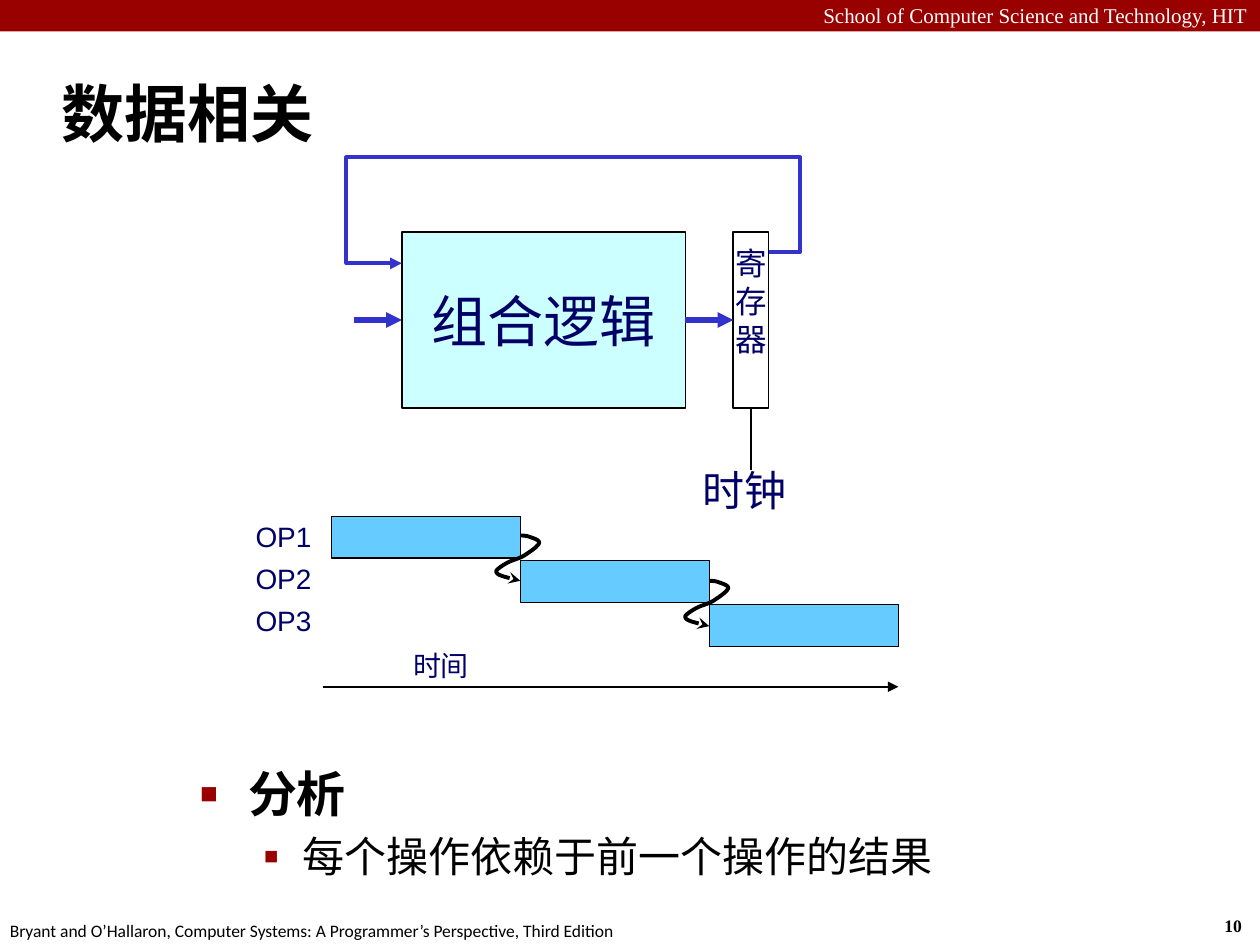
from lxml.etree import SubElement
from pptx import Presentation
from pptx.dml.color import RGBColor
from pptx.enum.shapes import MSO_CONNECTOR, MSO_SHAPE
from pptx.enum.text import MSO_ANCHOR, PP_ALIGN
from pptx.oxml.ns import qn
from pptx.util import Inches, Pt

RED, BLACK, WHITE = "990000", "000000", "FFFFFF"
NAVY, ARROW_BLUE, PALE_CYAN, SKY = "000066", "3333CC", "CCFFFF", "66CCFF"


def color(value):
    """Turn a hex string into a colour."""
    return RGBColor.from_string(value)


def style_text(shape, text, size, hue, align=PP_ALIGN.LEFT, font="Arial",
               bold=False, wrap=False, anchor=MSO_ANCHOR.TOP):
    """Fill a shape with text and give every run the same look."""
    frame = shape.text_frame
    frame.text = text
    frame.word_wrap = wrap
    frame.vertical_anchor = anchor
    for para in frame.paragraphs:
        para.alignment = align
        for span in para.runs:
            span.font.size = Pt(size)
            span.font.name = font
            span.font.bold = bold
            span.font.color.rgb = color(hue)
    return frame


def add_label(page, box, text, size, hue, **look):
    """Add a text box at the given box in inches."""
    label = page.shapes.add_textbox(*map(Inches, box))
    return style_text(label, text, size, hue, **look)


def add_block(page, box, fill, line_width=0):
    """Add a flat rectangle, outlined in black when a width is given."""
    block = page.shapes.add_shape(MSO_SHAPE.RECTANGLE, *map(Inches, box))
    block.shadow.inherit = False
    block.fill.solid()
    block.fill.fore_color.rgb = color(fill)
    if line_width:
        block.line.color.rgb = color(BLACK)
        block.line.width = Pt(line_width)
    else:
        block.line.fill.background()
    return block


def style_line(shape, hue, width, head=None):
    """Colour a line, drop its shadow and add an arrowhead at its end."""
    shape.line.color.rgb = color(hue)
    shape.line.width = Pt(width)
    properties = shape._element.spPr
    if head:
        SubElement(properties.find(qn("a:ln")), qn("a:tailEnd"), type=head)
    SubElement(properties, qn("a:effectLst"))


def add_line(page, start, end, hue, width, head=None):
    """Add a straight connector between two points in inches."""
    line = page.shapes.add_connector(
        MSO_CONNECTOR.STRAIGHT, *map(Inches, start + end))
    style_line(line, hue, width, head)
    return line


def add_path(page, points, hue, width, head):
    """Add an open, unfilled outline through points in inches."""
    start, *others = [(Inches(x), Inches(y)) for x, y in points]
    builder = page.shapes.build_freeform(*start, scale=1.0)
    builder.add_line_segments(others, close=False)
    outline = builder.convert_to_shape()
    outline.fill.background()
    style_line(outline, hue, width, head)


def smooth_points(knots, steps=6):
    """Return points on a smooth curve through the knots."""
    padded = [knots[0], *knots, knots[-1]]
    points = [knots[0]]
    for a, b, c, d in zip(padded, padded[1:], padded[2:], padded[3:]):
        for step in range(1, steps + 1):
            t = step / steps
            points.append(tuple(
                q + t * (r - p) / 2 + t * t * (2 * p - 5 * q + 4 * r - s) / 2
                + t ** 3 * (3 * q - p - 3 * r + s) / 2
                for p, q, r, s in zip(a, b, c, d)))
    return points


def add_frame(page, width, height):
    """Place the header band, footer and page number."""
    add_block(page, (0, 0, width, 0.25), RED)
    add_label(page, (0, -0.03, width, 0.3),
              "School of Computer Science and Technology, HIT", 12, WHITE,
              align=PP_ALIGN.RIGHT, font="Times New Roman", wrap=True)
    add_label(page, (width - 0.38, height - 0.29, 0.37, 0.27), "10", 10, BLACK,
              font="Times New Roman", bold=True)
    add_label(page, (-0.02, height - 0.25, 5.08, 0.27),
              "Bryant and O’Hallaron, Computer Systems: "
              "A Programmer’s Perspective, Third Edition",
              10, BLACK, font="Calibri")


def add_circuit(page, left, top):
    """Place the logic block, register, clock and feedback loop."""
    block_top, block_height = top + 0.59, 1.4
    middle = block_top + block_height / 2
    logic_left, register_left = left + 0.44, left + 3.07
    centered = {"align": PP_ALIGN.CENTER, "anchor": MSO_ANCHOR.MIDDLE}

    logic = add_block(page, (logic_left, block_top, 2.25, block_height),
                      PALE_CYAN, 1)
    style_text(logic, "组合逻辑", 32, NAVY, **centered)
    register = add_block(page, (register_left, block_top, 0.28, block_height),
                         WHITE, 1)
    frame = style_text(register, "寄\n存\n器", 18, NAVY, **centered)
    frame.margin_bottom = Inches(0.35)

    entry = add_line(page, (left + 0.06, middle), (logic_left, middle),
                     ARROW_BLUE, 3, "triangle")
    entry.end_connect(logic, 1)
    transfer = add_line(page, (logic_left + 2.25, middle),
                        (register_left, middle), ARROW_BLUE, 3, "triangle")
    transfer.begin_connect(logic, 3)
    transfer.end_connect(register, 1)

    clock_x, clock_top = register_left + 0.14, top + 2.48
    clock_line = add_line(page, (clock_x, block_top + block_height),
                          (clock_x, clock_top), BLACK, 1)
    clock_line.begin_connect(register, 2)
    add_label(page, (left + 2.72, top + 2.39, 0.87, 0.5), "时钟", 24, NAVY,
              align=PP_ALIGN.CENTER)

    right, out_y, in_y = left + 3.6, top + 0.75, top + 0.84
    add_path(page, [(register_left + 0.28, out_y), (right, out_y),
                    (right, top), (left, top), (left, in_y),
                    (logic_left, in_y)], ARROW_BLUE, 2.25, "triangle")


def add_timeline(page, left, top):
    """Place the staggered operations, their dependences and the time axis."""
    bar_left, bar_width, bar_height, pitch = left + 0.75, 1.5, 0.33, 0.35
    names = ["OP1", "OP2", "OP3"]
    knots = [(0, 0), (0.07, 0.01), (0.15, 0.06), (0.03, 0.16), (-0.09, 0.21),
             (-0.17, 0.26), (-0.19, 0.29), (-0.15, 0.32), (0, 0.36)]
    for index, name in enumerate(names):
        tag = add_block(page, (left, top + index * 0.335, 0.69, 0.33), WHITE)
        style_text(tag, name, 16, NAVY, align=PP_ALIGN.RIGHT,
                   anchor=MSO_ANCHOR.MIDDLE)
        add_block(page, (bar_left + index * bar_width,
                         top + 0.01 + index * pitch, bar_width, bar_height),
                  SKY, 0.75)
    for index in range(1, len(names)):
        x, y = bar_left + index * bar_width, top + 0.16 + (index - 1) * 0.36
        add_path(page, smooth_points([(x + dx, y + dy) for dx, dy in knots]),
                 BLACK, 2.25, "stealth")
    add_label(page, (left + 1.3, top + 1.01, 0.65, 0.37), "时间", 16, NAVY)
    axis_y = top + 1.36
    add_line(page, (left + 0.68, axis_y),
             (bar_left + len(names) * bar_width, axis_y), BLACK, 1, "triangle")


def add_analysis(page, box):
    """Place the two-level bulleted conclusion."""
    frame = add_label(page, box, "分析\n每个操作依赖于前一个操作的结果", 28, BLACK,
                      wrap=True)
    levels = [(28, True, 0.38, 0.38, "■", 60), (24, False, 0.81, 0.31, "▪", 110)]
    for level, para in enumerate(frame.paragraphs):
        size, bold, margin, hanging, mark, percent = levels[level]
        para.level = level
        para.space_before = Pt(size * 0.2)
        para.runs[0].font.size = Pt(size)
        para.runs[0].font.bold = bold
        properties = para._p.get_or_add_pPr()
        properties.set("marL", str(Inches(margin)))
        properties.set("indent", str(-Inches(hanging)))
        hue = SubElement(properties, qn("a:buClr"))
        SubElement(hue, qn("a:srgbClr"), val=RED)
        SubElement(properties, qn("a:buSzPct"), val=str(percent * 1000))
        SubElement(properties, qn("a:buFont"), typeface="Arial")
        SubElement(properties, qn("a:buChar"), char=mark)


def main():
    """Build and save the slide."""
    deck = Presentation()
    deck.slide_width, deck.slide_height = Inches(10), Inches(7.5)
    page = deck.slides.add_slide(deck.slide_layouts[6])
    add_frame(page, 10, 7.5)
    add_label(page, (0.39, 0.48, 9.61, 0.83), "数据相关", 36, BLACK, bold=True,
              wrap=True, anchor=MSO_ANCHOR.MIDDLE)
    add_circuit(page, 2.75, 1.25)
    add_timeline(page, 1.88, 4.09)
    add_analysis(page, (1.49, 6.01, 6.82, 1.04))
    deck.save("out.pptx")


if __name__ == "__main__":
    main()
